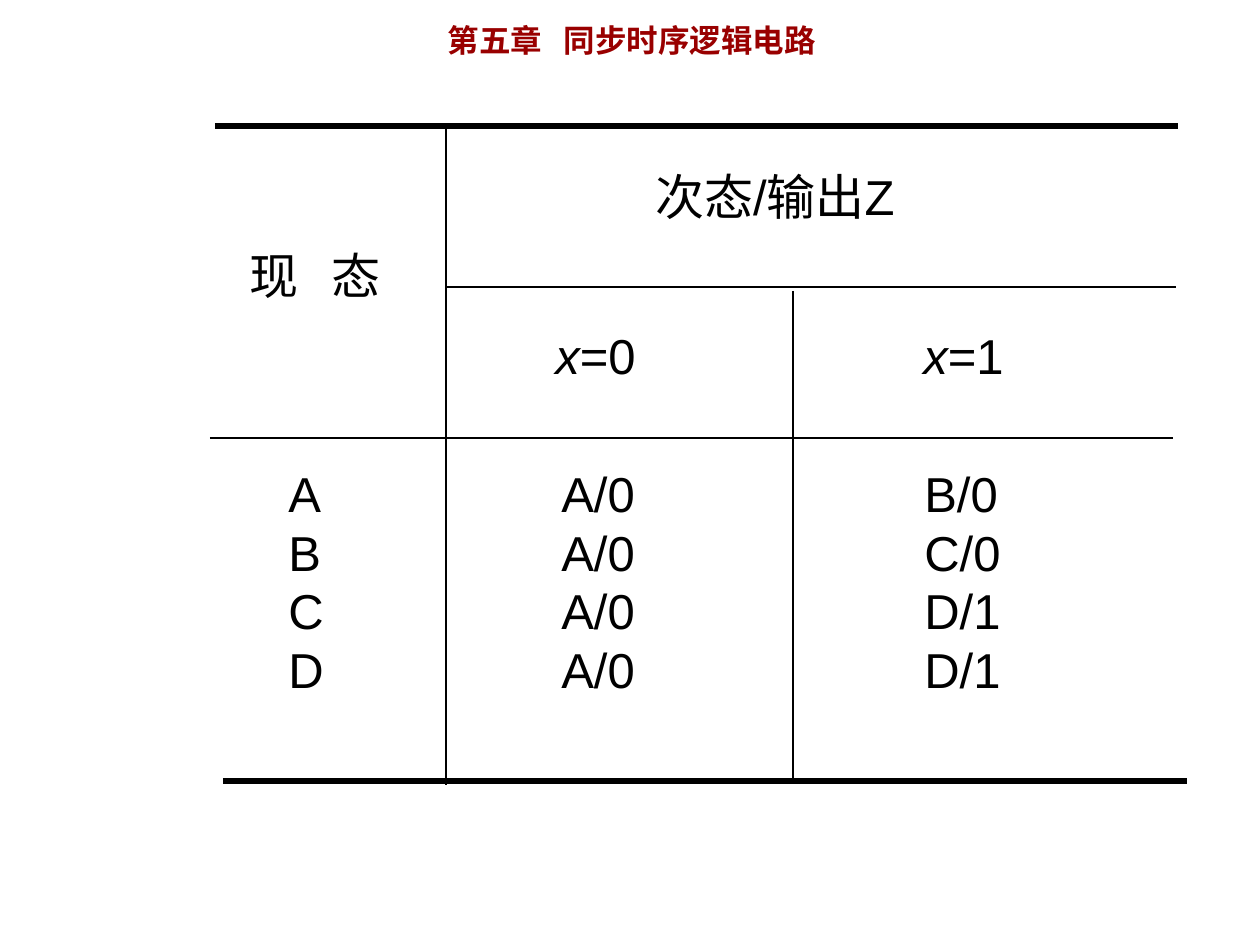
from lxml.etree import SubElement
from pptx import Presentation
from pptx.dml.color import RGBColor
from pptx.enum.shapes import MSO_CONNECTOR
from pptx.enum.text import MSO_ANCHOR, MSO_AUTO_SIZE, PP_ALIGN
from pptx.oxml.ns import qn
from pptx.util import Emu, Pt

BLACK = RGBColor(0x00, 0x00, 0x00)
DARK_RED = RGBColor(0x99, 0x00, 0x00)
LATIN_FONT = "Arial"
CHINESE_FONT = "Noto Sans CJK JP"
BODY_TOP, BODY_HEIGHT = 457, 248
HEADER_HEIGHT = 72


def px(length):
    """Convert pixels at 126 to the inch into EMU."""
    return Emu(round(length * 914400 / 126))


def place(shape, left, top, width, height):
    """Set the position and size of a shape in pixels."""
    shape.left, shape.top = px(left), px(top)
    shape.width, shape.height = px(width), px(height)


def write_text(shape, lines, size=28, font=LATIN_FONT, color=BLACK,
               bold=False, wrap=False, tab=None):
    """Fill a shape with lines, each a list of (text, italic) runs."""
    frame = shape.text_frame
    frame.word_wrap = wrap
    frame.auto_size = MSO_AUTO_SIZE.NONE
    frame.vertical_anchor = MSO_ANCHOR.TOP
    for index, runs in enumerate(lines):
        paragraph = frame.add_paragraph() if index else frame.paragraphs[0]
        paragraph.alignment = PP_ALIGN.LEFT
        if tab:
            tabs = SubElement(paragraph._p.get_or_add_pPr(), qn("a:tabLst"))
            SubElement(tabs, qn("a:tab"), pos=str(px(tab)), algn="l")
        for text, italic in runs:
            run = paragraph.add_run()
            run.text = text
            run.font.size = Pt(size)
            run.font.bold = bold
            run.font.italic = italic
            run.font.color.rgb = color
            run.font.name = font
            SubElement(run.font._element, qn("a:ea"), typeface=CHINESE_FONT)


def add_text(slide, left, top, width, height, lines, **text_format):
    """Add a text box at a pixel position."""
    box = slide.shapes.add_textbox(0, 0, 0, 0)
    place(box, left, top, width, height)
    write_text(box, lines, **text_format)


def add_rule(slide, start, end, weight):
    """Draw a straight black table rule between two pixel points."""
    rule = slide.shapes.add_connector(
        MSO_CONNECTOR.STRAIGHT, *map(px, start + end))
    rule.line.color.rgb = BLACK
    rule.line.width = Pt(weight)
    SubElement(rule._element.spPr, qn("a:effectLst"))


def add_title(slide):
    """Set the chapter heading in the title placeholder."""
    title = slide.shapes.title
    place(title, 435, 15, 464, 50)
    write_text(title, [[("第五章\t同步时序逻辑电路", False)]], size=18,
               font=CHINESE_FONT, color=DARK_RED, bold=True, wrap=True, tab=116)


def add_state_table(slide):
    """Draw the rules, headings and columns of the state table."""
    for start, end, weight in (
        ((215, 126), (1178, 126), 3),
        ((223, 781), (1187, 781), 3),
        ((446, 126), (446, 785), 1.5),
        ((793, 291), (793, 781), 1.5),
        ((446, 287), (1176, 287), 1),
        ((210, 438), (1173, 438), 1),
    ):
        add_rule(slide, start, end, weight)

    add_text(slide, 237, 239, 156, HEADER_HEIGHT,
             [[("现\t态", False)]], tab=82)
    add_text(slide, 643, 160, 300, HEADER_HEIGHT, [[("次态/输出Z", False)]])
    for left, value in ((543, "=0"), (911, "=1")):
        add_text(slide, left, 319, 105, HEADER_HEIGHT,
                 [[("x", True), (value, False)]])
    for left, width, entries in (
        (276, 60, ("A", "B", "C", "D")),
        (549, 98, ("A/0", "A/0", "A/0", "A/0")),
        (912, 101, ("B/0", "C/0", "D/1", "D/1")),
    ):
        add_text(slide, left, BODY_TOP, width, BODY_HEIGHT,
                 [[(entry, False)] for entry in entries])


def main():
    """Build and save the slide."""
    presentation = Presentation()
    presentation.slide_width, presentation.slide_height = px(1260), px(945)
    slide = presentation.slides.add_slide(presentation.slide_layouts[5])
    add_title(slide)
    add_state_table(slide)
    presentation.save("out.pptx")


if __name__ == "__main__":
    main()
